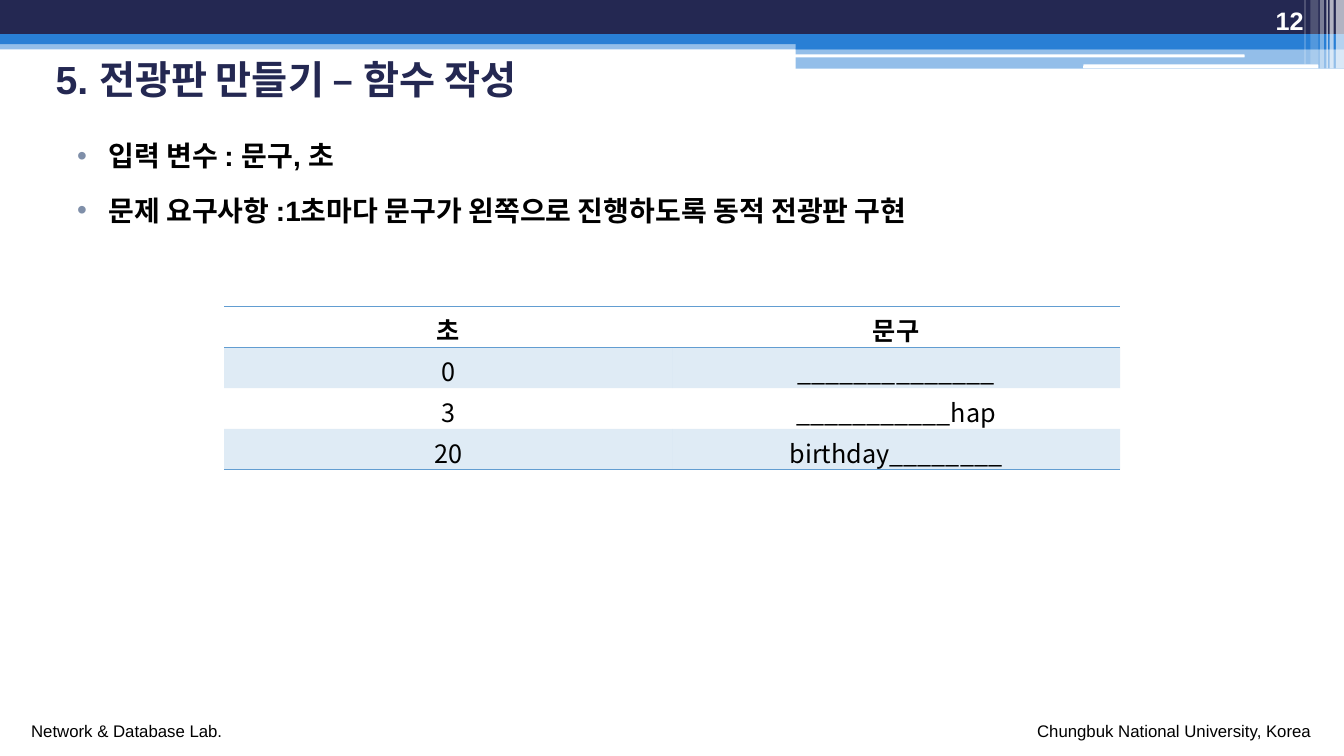
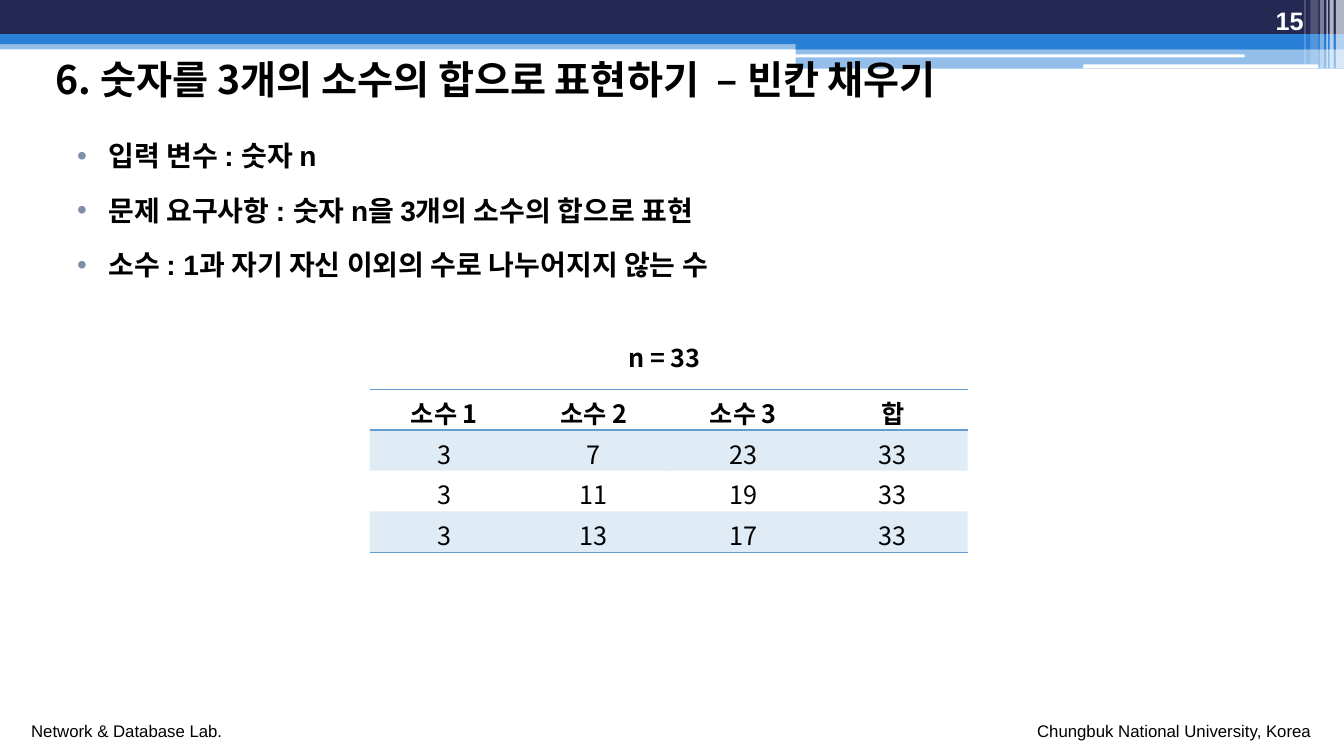
from lxml.etree import SubElement
from pptx import Presentation
from pptx.dml.color import RGBColor
from pptx.enum.shapes import MSO_SHAPE
from pptx.enum.text import MSO_ANCHOR, MSO_AUTO_SIZE, PP_ALIGN
from pptx.oxml import parse_xml
from pptx.oxml.ns import nsdecls, qn
from pptx.util import Inches, Pt

# Shared look; every place is left, top, width, height in percent of the slide
WIDTH, HEIGHT = Inches(13.333), Inches(7.5)
NAVY, BLUE, SKY, GREY = "242852", "297FD5", "629DD1", "7F8FA9"
WHITE, BLACK = "FFFFFF", "000000"
LATIN, KOREAN = "Arial", "Noto Sans CJK KR"
PLAIN_TABLE = "{2D5ABB26-0587-4C30-8999-92F81FD0307C}"

TITLE_PLACE = (3.38, 6.53, 92.85, 7.73)
NUMBER_PLACE = (89.4, 0, 8.33, 5.33)
BODY_PLACE = (5, 15.47, 90, 78)
ROW_HEIGHT = 5.4

# Header bands: place, colour, opacity
BANDS = [
    ((0, 5.33, 100, 1.2), BLUE, 50),
    ((0, 0, 100, 4.53), NAVY, 100),
    ((0, 4.53, 100, 1.33), BLUE, 100),
    ((59.2, 5.2, 40.8, 1.33), BLUE, 100),
    ((59.2, 6.4, 40.8, 2.67), BLUE, 50),
]
SLITS = [(59.1, 7.2, 33.5, 0.4), (80.6, 8.53, 17.5, 0.53)]
# Stripes at the right end: left, width, height, opacity
STRIPES = [
    (99.4, 0.6, 9.07, 65),
    (98.93, 0.3, 9.07, 65),
    (98.7, 0.1, 9.07, 60),
    (98.2, 0.3, 9.07, 40),
    (97.5, 0.6, 8.53, 20),
    (97.05, 0.1, 8.53, 30),
]
FOOTERS = [
    ("Network & Database Lab.", (1.58, 94.67, 15.83, 4)),
    ("Chungbuk National University, Korea", (76.43, 94.67, 22.07, 4)),
]


def color(value):
    return RGBColor.from_string(value)


def area(place):
    left, top, width, height = place
    return [round(share * full / 100) for share, full in
            ((left, WIDTH), (top, HEIGHT), (width, WIDTH), (height, HEIGHT))]


def paint(fill, value, opacity=100):
    fill.solid()
    fill.fore_color.rgb = color(value)
    if opacity < 100:
        tint = next(fill._xPr.iter(qn("a:srgbClr")))
        SubElement(tint, qn("a:alpha"), val=str(opacity * 1000))


def style(para, size, value=BLACK, bold=False, face=LATIN):
    font = para.font
    font.size, font.bold, font.name = Pt(size), bold, face
    font.color.rgb = color(value)
    SubElement(font._element, qn("a:ea"), typeface=KOREAN)


def add_block(page, place, value, opacity=100, preset=MSO_SHAPE.RECTANGLE):
    block = page.shapes.add_shape(preset, *area(place))
    block.shadow.inherit = False
    block.line.fill.background()
    paint(block.fill, value, opacity)


def add_label(page, text, place, size, wrap=False, **look):
    frame = page.shapes.add_textbox(*area(place)).text_frame
    frame.word_wrap = wrap
    frame.auto_size = MSO_AUTO_SIZE.NONE if wrap else MSO_AUTO_SIZE.SHAPE_TO_FIT_TEXT
    frame.text = text
    style(frame.paragraphs[0], size, **look)
    return frame


def add_frame(page, number):
    for place, value, opacity in BANDS:
        add_block(page, place, value, opacity)
    for place in SLITS:
        add_block(page, place, WHITE, preset=MSO_SHAPE.ROUNDED_RECTANGLE)
    for left, width, height, opacity in STRIPES:
        add_block(page, (left, 0, width, height), WHITE, opacity)
    for text, place in FOOTERS:
        add_label(page, text, place, 12)
    frame = add_label(page, number, NUMBER_PLACE, 18, wrap=True, value=WHITE, bold=True)
    frame.vertical_anchor = MSO_ANCHOR.BOTTOM
    frame.paragraphs[0].alignment = PP_ALIGN.RIGHT


def set_title(page, text, **look):
    title = page.shapes.title
    title.left, title.top, title.width, title.height = area(TITLE_PLACE)
    frame = title.text_frame
    frame.text = text
    frame.word_wrap = True
    frame.auto_size = MSO_AUTO_SIZE.NONE
    frame.vertical_anchor = MSO_ANCHOR.MIDDLE
    para = frame.paragraphs[0]
    para.alignment = PP_ALIGN.LEFT
    style(para, 28, bold=True, **look)
    # The title lies in front of the bands
    title._element.getparent().append(title._element)


def add_bullets(page, lines):
    frame = page.shapes.add_textbox(*area(BODY_PLACE)).text_frame
    frame.word_wrap = True
    frame.text = "\n".join(lines)
    for index, para in enumerate(frame.paragraphs):
        para.line_spacing = 1.5
        para.space_before = Pt(3 if index else 0)
        props = para._p.get_or_add_pPr()
        props.set("marL", str(Inches(0.31)))
        props.set("indent", str(-Inches(0.31)))
        tint = SubElement(props, qn("a:buClr"))
        SubElement(tint, qn("a:srgbClr"), val=GREY)
        SubElement(props, qn("a:buFont"), typeface=LATIN)
        SubElement(props, qn("a:buChar"), char="•")
        style(para, 20, bold=True)


def add_rule(cell, side):
    # Border lines come before the fill
    cell._tc.get_or_add_tcPr().insert(0, parse_xml(
        f'<a:{side} {nsdecls("a")} w="12700"><a:solidFill>'
        f'<a:srgbClr val="{SKY}"/></a:solidFill></a:{side}>'))


def add_grid(page, rows, left, top, width):
    place = (left, top, width, ROW_HEIGHT * len(rows))
    table = page.shapes.add_table(len(rows), len(rows[0]), *area(place)).table
    table.first_row = table.horz_banding = False
    next(table._tbl.iter(qn("a:tableStyleId"))).text = PLAIN_TABLE
    for row, texts in enumerate(rows):
        for column, text in enumerate(texts):
            cell = table.cell(row, column)
            cell.text = text
            para = cell.text_frame.paragraphs[0]
            para.alignment = PP_ALIGN.CENTER
            style(para, 18, bold=row == 0, face=KOREAN)
            if row % 2:
                paint(cell.fill, SKY, 20)
            else:
                cell.fill.background()
            if row in (0, len(rows) - 1):
                add_rule(cell, "lnB")
            if row == 0:
                add_rule(cell, "lnT")


def add_page(deck, number, title, bullets, **look):
    page = deck.slides.add_slide(deck.slide_layouts[5])
    add_frame(page, number)
    set_title(page, title, **look)
    add_bullets(page, bullets)
    return page


def main():
    deck = Presentation()
    deck.slide_width, deck.slide_height = WIDTH, HEIGHT

    # Moving sign board
    page = add_page(deck, "12", "5. 전광판 만들기 – 함수 작성", [
        "입력 변수 : 문구, 초",
        "문제 요구사항 :1초마다 문구가 왼쪽으로 진행하도록 동적 전광판 구현",
    ], value=NAVY)
    add_grid(page, [
        ("초", "문구"),
        ("0", "_" * 14),
        ("3", "_" * 11 + "hap"),
        ("20", "birthday" + "_" * 8),
    ], 16.67, 40.53, 66.67)

    # Sum of three primes
    page = add_page(deck, "15", "6. 숫자를 3개의 소수의 합으로 표현하기  – 빈칸 채우기", [
        "입력 변수 : 숫자 n",
        "문제 요구사항 : 숫자 n을 3개의 소수의 합으로 표현",
        "소수 : 1과 자기 자신 이외의 수로 나누어지지 않는 수",
    ], face=KOREAN)
    add_grid(page, [
        ("소수 1", "소수 2", "소수 3", "합"),
        ("3", "7", "23", "33"),
        ("3", "11", "19", "33"),
        ("3", "13", "17", "33"),
    ], 27.5, 51.47, 44.5)
    add_label(page, "n = 33", (46, 44.67, 7.58, 5.33), 18, bold=True, face=KOREAN)

    deck.save("out.pptx")


if __name__ == "__main__":
    main()
